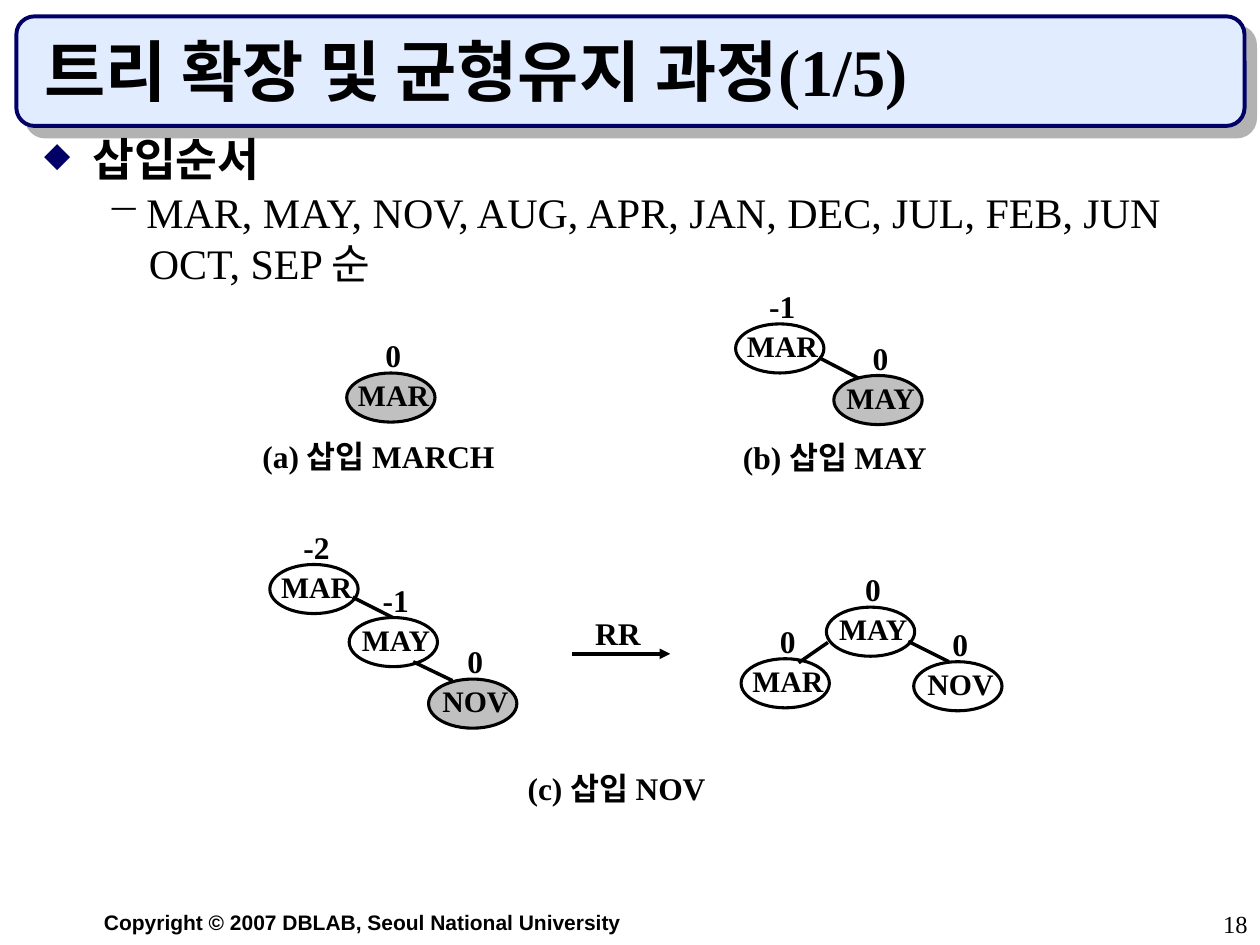
from dataclasses import dataclass

from lxml import etree
from pptx import Presentation
from pptx import util as u
from pptx.dml.color import RGBColor
from pptx.enum import shapes, text
from pptx.oxml import ns

SERIF, SANS = "Times New Roman", "Arial"
BLACK, NAVY, PALE_BLUE, GREY, SHADOW = "000000", "000066", "E1ECFF", "C0C0C0", "B2B2B2"
LEFT, CENTER, RIGHT = text.PP_ALIGN.LEFT, text.PP_ALIGN.CENTER, text.PP_ALIGN.RIGHT
NODE_WIDTH, NODE_HEIGHT = 1.78, 0.99


@dataclass(frozen=True)
class Box:
    """Place and size in centimetres."""
    left: float
    top: float
    width: float
    height: float

    def lengths(self) -> tuple:
        return tuple(u.Cm(n) for n in (self.left, self.top, self.width, self.height))


@dataclass(frozen=True)
class Node:
    name: str
    balance: str
    left: float
    top: float
    inserted: bool = False


@dataclass(frozen=True)
class Line:
    x1: float
    y1: float
    x2: float
    y2: float
    arrow: bool = False


@dataclass(frozen=True)
class Label:
    words: str
    box: Box


@dataclass(frozen=True)
class Item:
    words: str
    level: int
    size: float
    margin: float
    indent: float
    bullet: str = ""
    bullet_color: str = BLACK
    bullet_percent: int = 100


def color(value: str) -> RGBColor:
    return RGBColor.from_string(value)


def add_element(parent, tag: str, **attributes):
    return etree.SubElement(parent, ns.qn(tag), attributes)


def set_font(paragraph, size: float, bold: bool, name: str = SERIF) -> None:
    font = paragraph.font
    font.size, font.bold, font.name = u.Pt(size), bold, name
    font.color.rgb = color(BLACK)


def add_frame(slide, box: Box, anchor=text.MSO_ANCHOR.TOP):
    frame = slide.shapes.add_textbox(*box.lengths()).text_frame
    frame.word_wrap = True
    frame.vertical_anchor = anchor
    return frame


def add_text(slide, box: Box, words: str, size: float, align=CENTER, bold: bool = True,
             name: str = SERIF, spacing: float = 1.0, anchor=text.MSO_ANCHOR.TOP) -> None:
    paragraph = add_frame(slide, box, anchor).paragraphs[0]
    paragraph.text = words
    paragraph.alignment = align
    paragraph.line_spacing = spacing
    set_font(paragraph, size, bold, name)


def add_shape(slide, kind, box: Box, fill: str, line: str, line_width: float):
    shape = slide.shapes.add_shape(kind, *box.lengths())
    shape.shadow.inherit = False
    if fill:
        shape.fill.solid()
        shape.fill.fore_color.rgb = color(fill)
    else:
        shape.fill.background()
    shape.line.color.rgb = color(line)
    shape.line.width = u.Pt(line_width)
    return shape


def add_title_bar(slide) -> None:
    bar = add_shape(slide, shapes.MSO_SHAPE.ROUNDED_RECTANGLE,
                    Box(0.33, 0.33, 24.76, 2.21), PALE_BLUE, NAVY, 2.25)
    effects = bar._element.spPr.find(ns.qn("a:effectLst"))
    shadow = add_element(effects, "a:outerShdw", dist=str(u.Pt(8.5)), dir="2700000",
                         algn="ctr", rotWithShape="0")
    add_element(shadow, "a:srgbClr", val=SHADOW)


def add_item(paragraph, item: Item) -> None:
    paragraph.text = item.words
    paragraph.level = item.level
    paragraph.line_spacing = 0.8
    properties = paragraph._p.get_or_add_pPr()
    properties.set("marL", str(u.Cm(item.margin)))
    properties.set("indent", str(u.Cm(item.indent)))
    if item.bullet:
        add_element(add_element(properties, "a:buClr"), "a:srgbClr", val=item.bullet_color)
        add_element(properties, "a:buSzPct", val=str(item.bullet_percent * 1000))
        add_element(properties, "a:buChar", char=item.bullet)
    else:
        add_element(properties, "a:buNone")
    set_font(paragraph, item.size, bold=item.level == 0)


def add_list(slide, box: Box, items: list[Item]) -> None:
    frame = add_frame(slide, box)
    for index, item in enumerate(items):
        paragraph = frame.add_paragraph() if index else frame.paragraphs[0]
        if index:
            paragraph.space_before = u.Pt(6)
        add_item(paragraph, item)


def add_node(slide, node: Node) -> None:
    add_shape(slide, shapes.MSO_SHAPE.OVAL, Box(node.left, node.top, NODE_WIDTH, NODE_HEIGHT),
              GREY if node.inserted else "", BLACK, 1.75)
    add_text(slide, Box(node.left - 0.11, node.top + 0.09, 2.11, 0.84), node.name, 17, spacing=0.8)
    add_text(slide, Box(node.left + 0.14, node.top - 0.72, 1.6, 0.86), node.balance, 18, spacing=0.8)


def add_line(slide, line: Line) -> None:
    connector = slide.shapes.add_connector(
        shapes.MSO_CONNECTOR.STRAIGHT, *(u.Cm(n) for n in (line.x1, line.y1, line.x2, line.y2)))
    connector.line.color.rgb = color(BLACK)
    connector.line.width = u.Pt(2)
    if line.arrow:
        add_element(connector.line._get_or_add_ln(), "a:tailEnd", type="triangle")
    add_element(connector._element.spPr, "a:effectLst")


ITEMS = [
    Item("삽입순서", 0, 26, 0.97, -0.97, "◆", NAVY, 75),
    Item("MAR, MAY, NOV, AUG, APR, JAN, DEC, JUL, FEB, JUN", 1, 24, 2.06, -0.79, "−"),
    Item("OCT, SEP 순", 1, 24, 2.11, 0),
]
NODES = [
    # (a) and (b)
    Node("MAR", "0", 6.99, 7.52, inserted=True),
    Node("MAR", "-1", 14.83, 6.53),
    Node("MAY", "0", 16.81, 7.57, inserted=True),
    # (c) before the rotation
    Node("MAR", "-2", 5.44, 11.38),
    Node("MAY", "-1", 7.04, 12.45),
    Node("NOV", "0", 8.64, 13.69, inserted=True),
    # (c) after the rotation
    Node("MAY", "0", 16.66, 12.24),
    Node("NOV", "0", 18.42, 13.34),
    Node("MAR", "0", 14.94, 13.28),
]
LINES = [
    Line(16.51, 7.21, 17.3, 7.62),
    Line(7.11, 12.04, 7.92, 12.45),
    Line(8.33, 13.34, 9.12, 13.72),
    Line(11.53, 13.18, 13.51, 13.18, arrow=True),
    Line(18.31, 12.93, 19.13, 13.34),
    Line(16.69, 12.95, 16.1, 13.36),
]
LABELS = [
    Label("(a) 삽입 MARCH", Box(4.57, 8.84, 6.12, 0.86)),
    Label("(b) 삽입 MAY", Box(13.77, 8.86, 6.12, 0.86)),
    Label("(c) 삽입 NOV", Box(9.37, 15.52, 6.12, 0.86)),
    Label("RR", Box(11.35, 12.4, 2.21, 0.86)),
]


def main() -> None:
    presentation = Presentation()
    presentation.slide_width, presentation.slide_height = u.Cm(25.4), u.Cm(19.05)
    slide = presentation.slides.add_slide(presentation.slide_layouts[6])

    # Title and insertion order
    add_title_bar(slide)
    add_list(slide, Box(0.64, 2.74, 23.93, 3.78), ITEMS)
    add_text(slide, Box(0.64, 0.64, 23.93, 1.7), "트리 확장 및 균형유지 과정(1/5)", 38,
             LEFT, anchor=text.MSO_ANCHOR.BOTTOM)

    # Trees
    for node in NODES:
        add_node(slide, node)
    for line in LINES:
        add_line(slide, line)
    for label in LABELS:
        add_text(slide, label.box, label.words, 18, spacing=0.8)

    # Footer
    add_text(slide, Box(0.64, 18.21, 13.34, 0.76),
             "Copyright © 2007 DBLAB, Seoul National University", 12, name=SANS)
    add_text(slide, Box(20.12, 18.21, 5.28, 0.84), "18", 14, RIGHT, bold=False)

    presentation.save("out.pptx")


if __name__ == "__main__":
    main()
